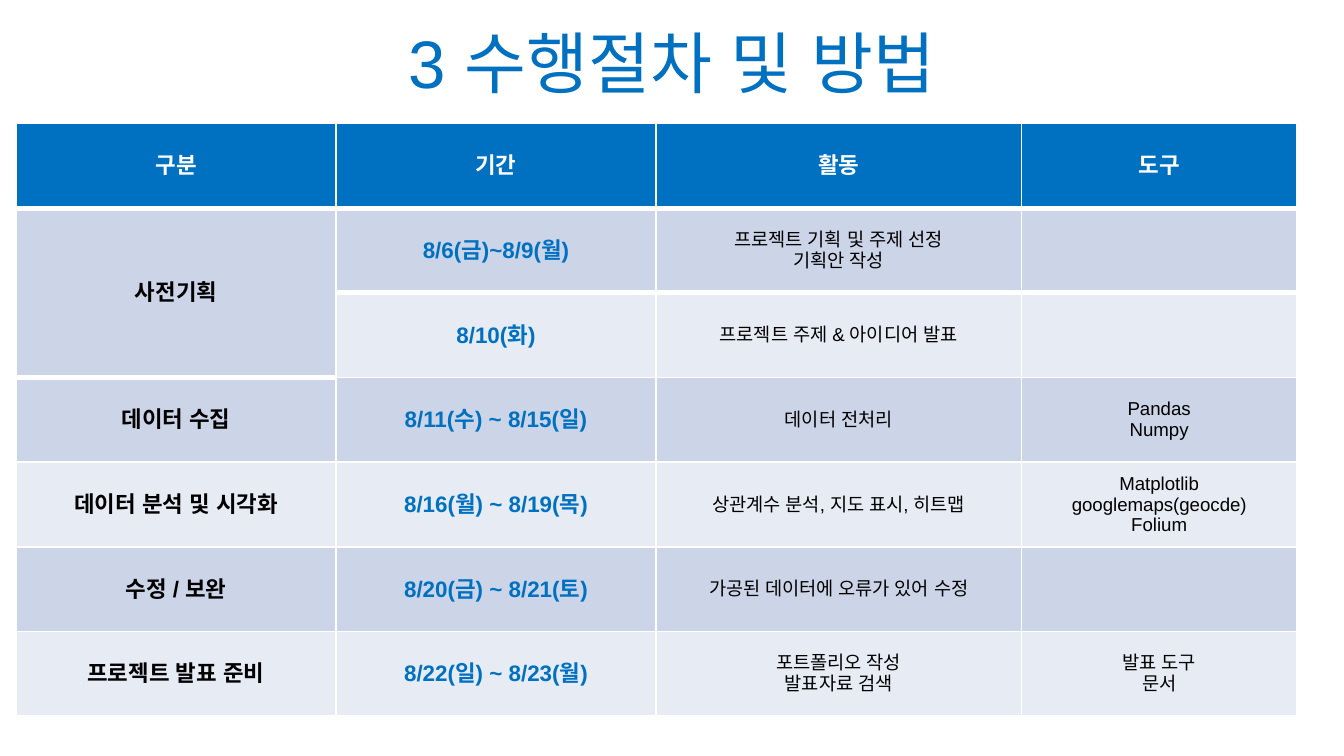
from lxml import etree
from pptx import Presentation
from pptx.dml.color import RGBColor
from pptx.enum.text import MSO_ANCHOR, PP_ALIGN
from pptx.oxml.ns import qn
from pptx.util import Inches, Pt

MIDDLE = MSO_ANCHOR.MIDDLE
CENTER = PP_ALIGN.CENTER

WIDTH = 10
HEIGHT = WIDTH * 9 / 16
FONT = "Arial"
BLUE, BLACK, WHITE = "0070C0", "000000", "FFFFFF"
BANDS = ["CCD5E8", "E7EBF4"]
COLS = [2.38, 2.38, 2.72, 2.05]
ROW = 0.63

HEADS = ["구분", "기간", "활동", "도구"]
PLAN = [
    ["사전기획", "8/6(금)~8/9(월)", "프로젝트 기획 및 주제 선정\n기획안 작성", ""],
    ["", "8/10(화)", "프로젝트 주제 & 아이디어 발표", ""],
    ["데이터 수집", "8/11(수) ~ 8/15(일)", "데이터 전처리", "Pandas\nNumpy"],
    ["데이터 분석 및 시각화", "8/16(월) ~ 8/19(목)",
     "상관계수 분석, 지도 표시, 히트맵", "Matplotlib\ngooglemaps(geocde)\nFolium"],
    ["수정 / 보완", "8/20(금) ~ 8/21(토)", "가공된 데이터에 오류가 있어 수정", ""],
    ["프로젝트 발표 준비", "8/22(일) ~ 8/23(월)",
     "포트폴리오 작성\n발표자료 검색", "발표 도구\n문서"],
]
# Size, colour and weight of each column below the header
STYLES = [(12, BLACK, True), (12, BLUE, True), (10, BLACK, False), (10, BLACK, False)]


def color(code):
    return RGBColor.from_string(code)


def write(frame, text, size, code, bold):
    frame.text = text
    for para in frame.paragraphs:
        para.alignment = CENTER
        for run in para.runs:
            font = run.font
            font.name = FONT
            font.size = Pt(size)
            font.bold = bold
            font.color.rgb = color(code)
            props = run._r.get_or_add_rPr()
            etree.SubElement(props, qn("a:ea")).set("typeface", FONT)


def add_title(slide, text):
    title = slide.shapes.title
    title.left, title.top = 0, Inches(0.14)
    title.width, title.height = Inches(WIDTH), Inches(ROW)
    title.text_frame.vertical_anchor = MIDDLE
    write(title.text_frame, text, 36, BLUE, False)


def edge_cell(cell, sides):
    """Draw white borders; sides maps a tag to points, in the order L, R, T, B."""
    props = cell._tc.get_or_add_tcPr()
    for place, (side, width) in enumerate(sides.items()):
        line = etree.Element(qn("a:ln" + side), w=str(Pt(width)))
        fill = etree.SubElement(line, qn("a:solidFill"))
        etree.SubElement(fill, qn("a:srgbClr")).set("val", WHITE)
        props.insert(place, line)


def fill_cell(cell, text, back, style):
    cell.fill.solid()
    cell.fill.fore_color.rgb = color(back)
    cell.vertical_anchor = MIDDLE
    if text:
        write(cell.text_frame, text, *style)


def add_plan(slide):
    count = len(PLAN) + 1
    frame = slide.shapes.add_table(
        count, len(COLS), Inches(0.12), Inches(0.92),
        Inches(sum(COLS)), Inches(ROW * count))
    table = frame.table
    for col, width in zip(table.columns, COLS):
        col.width = Inches(width)
    for c, head in enumerate(HEADS):
        cell = table.cell(0, c)
        fill_cell(cell, head, BLUE, (12, WHITE, True))
        edge_cell(cell, {"L": 1, "R": 1, "T": 1, "B": 3})
        edge_cell(table.cell(1, c), {"T": 3})
    for r, texts in enumerate(PLAN):
        for c, text in enumerate(texts):
            fill_cell(table.cell(r + 1, c), text, BANDS[r % 2], STYLES[c])
    table.cell(1, 0).merge(table.cell(2, 0))


def main():
    deck = Presentation()
    deck.slide_width, deck.slide_height = Inches(WIDTH), Inches(HEIGHT)
    slide = deck.slides.add_slide(deck.slide_layouts[5])
    add_title(slide, "3 수행절차 및 방법")
    add_plan(slide)
    deck.save("out.pptx")


if __name__ == "__main__":
    main()
